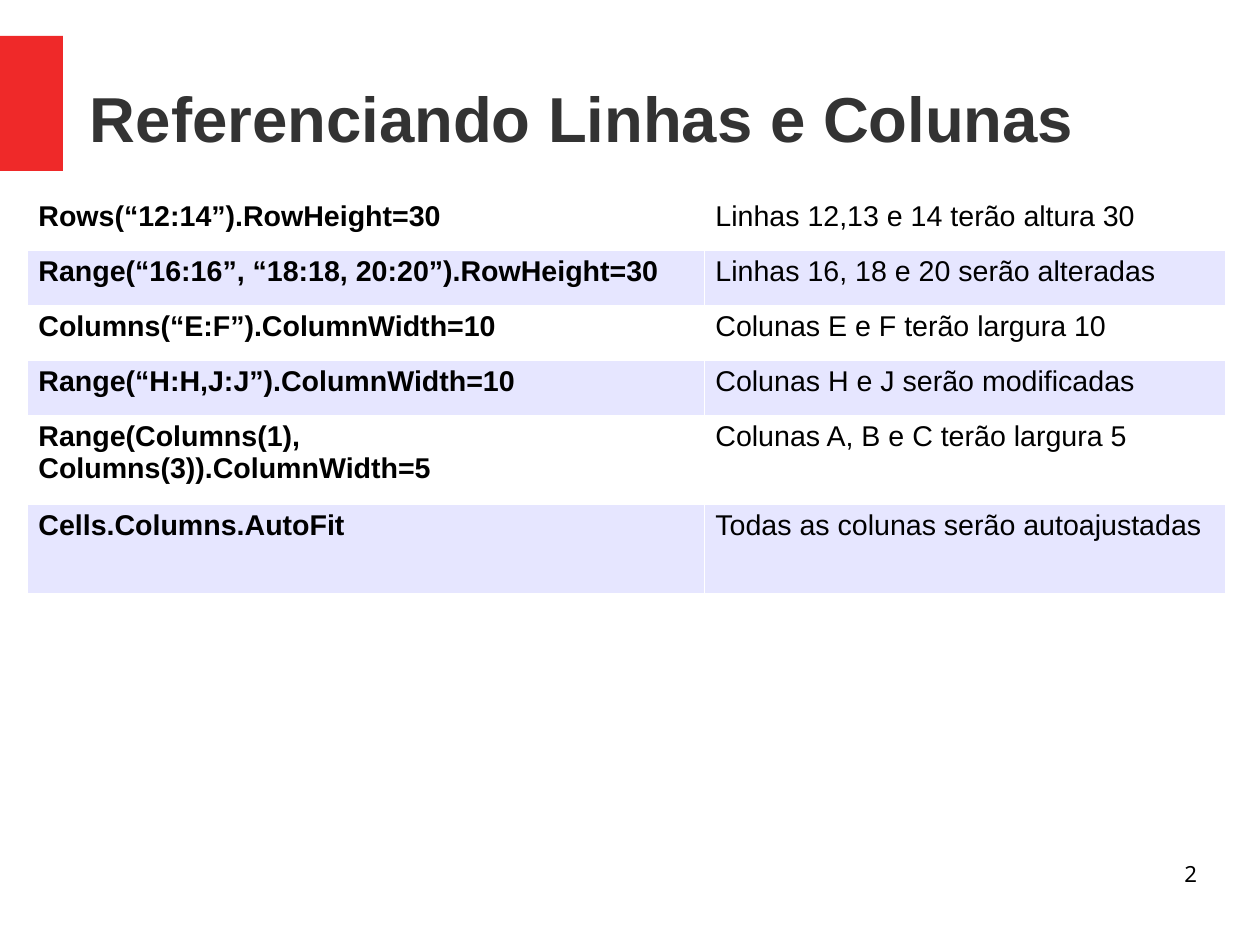
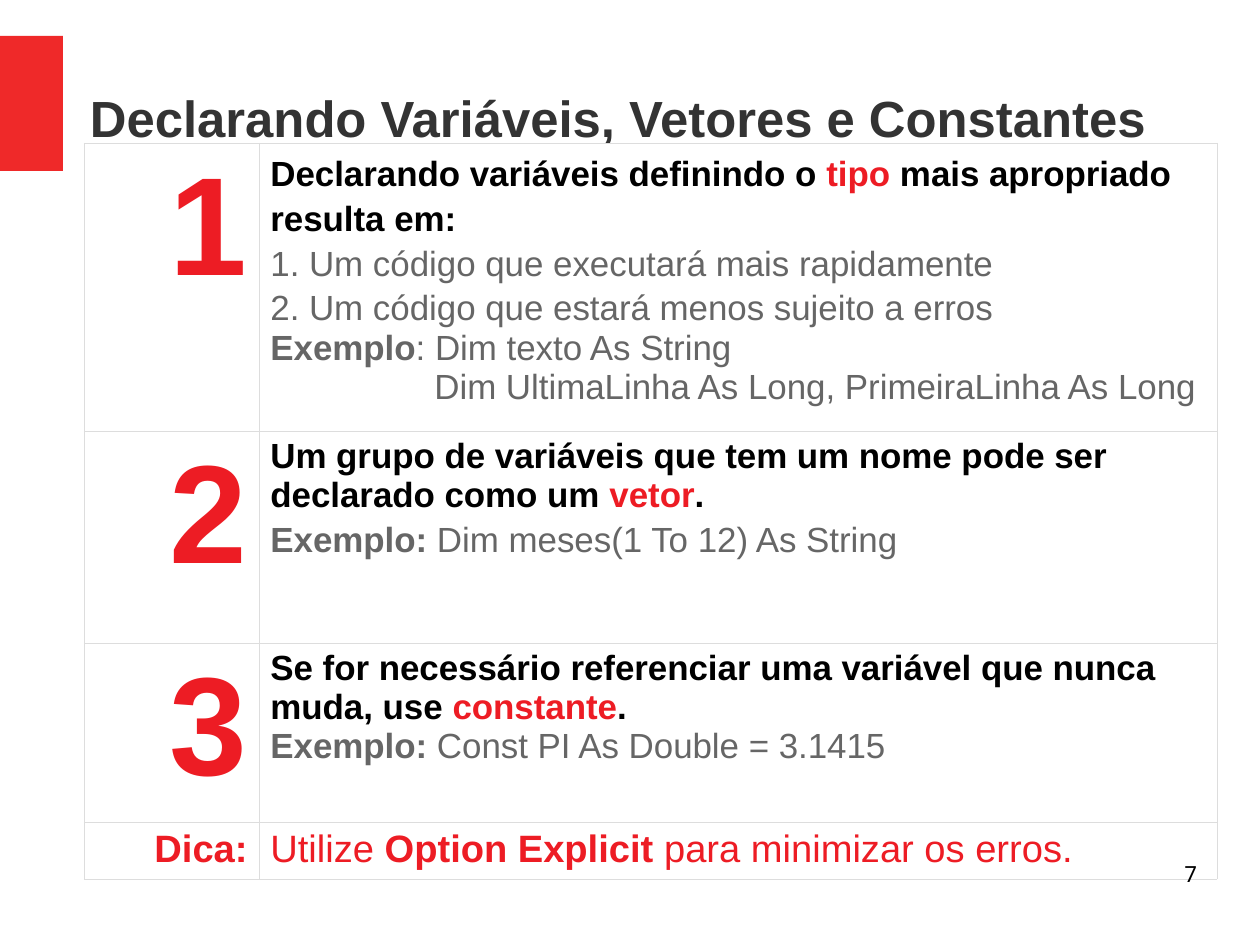
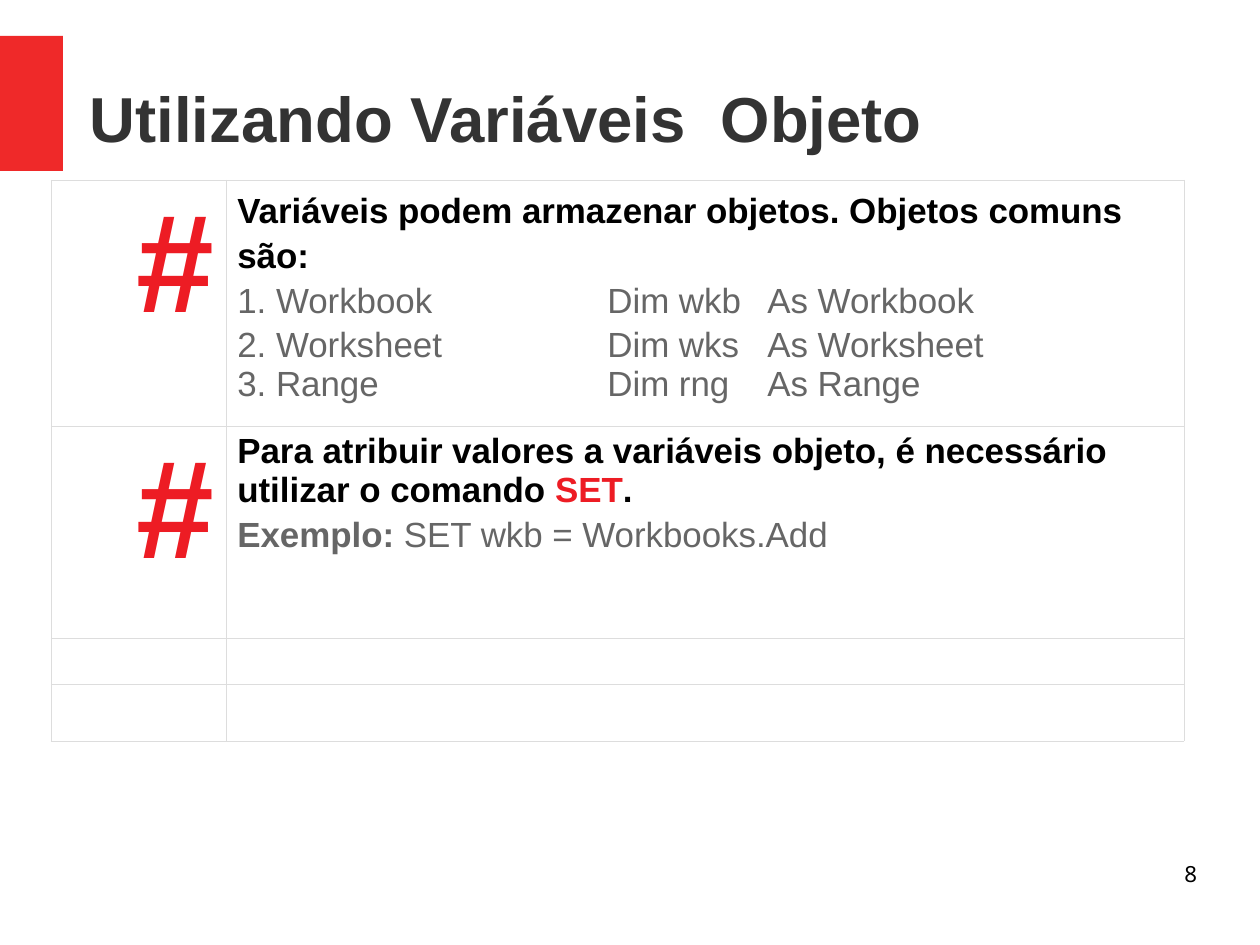
from dataclasses import dataclass

from lxml import etree
from pptx import Presentation
from pptx import util as u
from pptx.dml.color import RGBColor
from pptx.enum import shapes, text
from pptx.oxml import ns


@dataclass(frozen=True)
class Theme:
    """Colours, fonts and type sizes of the deck."""
    bar: str = "EF2929"
    title: str = "333333"
    ink: str = "000000"
    accent: str = "ED1C24"
    muted: str = "666666"
    paper: str = "FFFFFF"
    band: str = "E6E6FF"
    rule: str = "DDDDDD"
    font: str = "Arial"
    number_font: str = "Noto Sans"
    title_size: int = 40
    long_title_size: int = 32
    code_size: int = 18
    body_size: int = 22
    tip_size: int = 24
    marker_size: int = 88
    number_size: int = 14
    loose: float = 1.15


T = Theme()
SLIDE = (1260, 945)
BAR_BOX = (0, 36, 63, 135)
TITLE_BOX = (90, 38, 1106, 158)
NUMBER_BOX = (903, 860, 294, 65)
MARKER_COLS = (175, 958)
BORDER_PT = 0.06

HEAD = (T.ink, True)
KEY = (T.accent, True)
TIP = (T.accent, False)
LABEL = (T.muted, True)
BODY = (T.muted, False)
PLAIN = (T.ink, False)


def px(n):
    """Turn px into EMU."""
    return u.Emu(n * 8000)


def rgb(value):
    """Turn a hex string into a colour."""
    return RGBColor.from_string(value)


def style_run(r, size, colour, bold, font=T.font):
    """Set the font of one run."""
    r.font.size = u.Pt(size)
    r.font.name = font
    r.font.bold = bold
    r.font.color.rgb = rgb(colour)


def add_label(s, box, words, anchor, align, *style):
    """Add a one-line text box without insets."""
    tf = s.shapes.add_textbox(*map(px, box)).text_frame
    tf.word_wrap = True
    tf.vertical_anchor = anchor
    tf.margin_left = tf.margin_right = tf.margin_top = tf.margin_bottom = 0
    tf.text = words
    p = tf.paragraphs[0]
    p.alignment = align
    style_run(p.runs[0], *style)


def add_bar(s, box):
    """Add the red block at the left edge."""
    sp = s.shapes.add_shape(shapes.MSO_SHAPE.RECTANGLE, *map(px, box))
    sp.shadow.inherit = False
    sp.fill.solid()
    sp.fill.fore_color.rgb = rgb(T.bar)
    sp.line.fill.background()


def start_slide(prs, title, title_size=T.title_size):
    """Add a slide with its bar and title."""
    s = prs.slides.add_slide(prs.slide_layouts[6])
    add_bar(s, BAR_BOX)
    add_label(s, TITLE_BOX, title, text.MSO_ANCHOR.MIDDLE,
              text.PP_ALIGN.LEFT, title_size, T.title, True)
    return s


def add_number(s, number):
    """Add the slide number at the lower right."""
    add_label(s, NUMBER_BOX, str(number), text.MSO_ANCHOR.TOP,
              text.PP_ALIGN.RIGHT, T.number_size, T.ink, False, T.number_font)


def paint_cell(cell, fill, border):
    """Give a cell hairline borders and a fill."""
    tc_pr = cell._tc.get_or_add_tcPr()
    for side in ("a:lnL", "a:lnR", "a:lnT", "a:lnB"):
        ln = etree.SubElement(tc_pr, ns.qn(side), w=str(u.Pt(BORDER_PT)))
        solid = etree.SubElement(ln, ns.qn("a:solidFill"))
        etree.SubElement(solid, ns.qn("a:srgbClr"), val=border)
    cell.fill.solid()
    cell.fill.fore_color.rgb = rgb(fill)


def set_tabs(p, stops):
    """Set left tab stops, in px from the start of the text."""
    tabs = etree.SubElement(p._p.get_or_add_pPr(), ns.qn("a:tabLst"))
    for stop in stops:
        etree.SubElement(tabs, ns.qn("a:tab"), pos=str(px(stop)), algn="l")


def write_cell(cell, size, lines, align=None, tabs=()):
    """Write lines of (spacing, runs), each run being (words, style)."""
    tf = cell.text_frame
    for i, (spacing, runs) in enumerate(lines):
        p = tf.add_paragraph() if i else tf.paragraphs[0]
        p.alignment = align
        p.line_spacing = spacing
        for words, style in runs:
            r = p.add_run()
            r.text = words
            style_run(r, size, *style)
        if any("\t" in words for words, _ in runs):
            set_tabs(p, tabs)


def add_grid(s, left, top, cols, rows, fills, border):
    """Add a table whose row fills follow a repeating cycle."""
    frame = s.shapes.add_table(len(rows), len(cols), px(left), px(top),
                               px(sum(cols)), px(sum(rows)))
    table = frame.table
    table.first_row = table.horz_banding = False
    for col, width in zip(table.columns, cols):
        col.width = px(width)
    for i, (row, height) in enumerate(zip(table.rows, rows)):
        row.height = px(height)
        for cell in row.cells:
            paint_cell(cell, fills[i % len(fills)], border)
    return table


def add_code_table(s, left, top, cols, rows, entries):
    """Add a banded table of code and meaning."""
    table = add_grid(s, left, top, cols, rows, (T.paper, T.band), T.paper)
    for row, entry in zip(table.rows, entries):
        for cell, words, style in zip(row.cells, entry, (HEAD, PLAIN)):
            write_cell(cell, T.code_size, [(None, [(words, style)])])


def add_marker_table(s, left, top, rows, entries, tabs):
    """Add a ruled table of large markers and their explanations."""
    table = add_grid(s, left, top, MARKER_COLS, rows, (T.paper,), T.rule)
    for row, (marker, marker_size, size, lines) in zip(table.rows, entries):
        marker_cell, body_cell = row.cells
        write_cell(marker_cell, marker_size, [(None, [(marker, KEY)])],
                   text.PP_ALIGN.RIGHT)
        write_cell(body_cell, size, lines, tabs=tabs)


def rows_and_columns(prs):
    """Build the slide on rows and columns."""
    s = start_slide(prs, "Referenciando Linhas e Colunas")
    add_code_table(s, 27, 195, (677, 521), (55,) * 4 + (89,) * 2, [
        ("Rows(“12:14”).RowHeight=30", "Linhas 12,13 e 14 terão altura 30"),
        ("Range(“16:16”, “18:18, 20:20”).RowHeight=30",
         "Linhas 16, 18 e 20 serão alteradas"),
        ("Columns(“E:F”).ColumnWidth=10", "Colunas E e F terão largura 10"),
        ("Range(“H:H,J:J”).ColumnWidth=10", "Colunas H e J serão modificadas"),
        ("Range(Columns(1), Columns(3)).ColumnWidth=5",
         "Colunas A, B e C terão largura 5"),
        ("Cells.Columns.AutoFit", "Todas as colunas serão autoajustadas"),
    ])
    add_number(s, 2)


def declarations(prs):
    """Build the slide on variables, arrays and constants."""
    s = start_slide(prs, "Declarando Variáveis, Vetores e Constantes",
                    T.long_title_size)
    add_marker_table(s, 84, 143, (288, 212, 179, 57), [
        ("1", T.marker_size, T.body_size, [
            (T.loose, [("Declarando variáveis definindo o ", HEAD),
                       ("tipo", KEY),
                       (" mais apropriado resulta em:", HEAD)]),
            (T.loose, [("1. Um código que executará mais rapidamente", BODY)]),
            (T.loose, [("2. Um código que estará menos sujeito a erros",
                        BODY)]),
            (None, [("Exemplo", LABEL), (": Dim texto As String", BODY)]),
            (None, [("\tDim UltimaLinha As Long, PrimeiraLinha As Long",
                     BODY)]),
        ]),
        ("2", T.marker_size, T.body_size, [
            (None, [("Um grupo de variáveis que tem um nome pode ser "
                     "declarado como um ", HEAD),
                    ("vetor", KEY), (".", HEAD)]),
            (T.loose, [("Exemplo:", LABEL),
                       (" Dim meses(1 To 12) As String", BODY)]),
        ]),
        ("3", T.marker_size, T.body_size, [
            (None, [("Se for necessário referenciar uma variável que nunca "
                     "muda, use ", HEAD),
                    ("constante", KEY), (".", HEAD)]),
            (None, [("Exemplo:", LABEL),
                    (" Const PI As Double = 3.1415", BODY)]),
        ]),
        ("Dica:", T.tip_size, T.tip_size, [
            (None, [("Utilize ", TIP), ("Option Explicit", KEY),
                    (" para minimizar os erros.", TIP)]),
        ]),
    ], (164,))
    add_number(s, 7)


def object_variables(prs):
    """Build the slide on object variables."""
    s = start_slide(prs, "Utilizando Variáveis  Objeto")
    add_marker_table(s, 51, 180, (246, 212, 46, 57), [
        ("#", T.marker_size, T.body_size, [
            (T.loose, [("Variáveis podem armazenar objetos. Objetos comuns "
                        "são:", HEAD)]),
            (T.loose, [("1. Workbook\tDim wkb\tAs Workbook", BODY)]),
            (T.loose, [("2. Worksheet\tDim wks\tAs Worksheet", BODY)]),
            (None, [("3. Range\tDim rng\tAs Range", BODY)]),
        ]),
        ("#", T.marker_size, T.body_size, [
            (None, [("Para atribuir valores a variáveis objeto, é necessário "
                     "utilizar o comando ", HEAD),
                    ("SET", KEY), (".", HEAD)]),
            (T.loose, [("Exemplo:", LABEL),
                       (" SET wkb = Workbooks.Add", BODY)]),
        ]),
    ], (370, 530))
    add_number(s, 8)


def main():
    """Build and save the deck."""
    prs = Presentation()
    prs.slide_width, prs.slide_height = map(px, SLIDE)
    for build in (rows_and_columns, declarations, object_variables):
        build(prs)
    prs.save("out.pptx")


if __name__ == "__main__":
    main()
